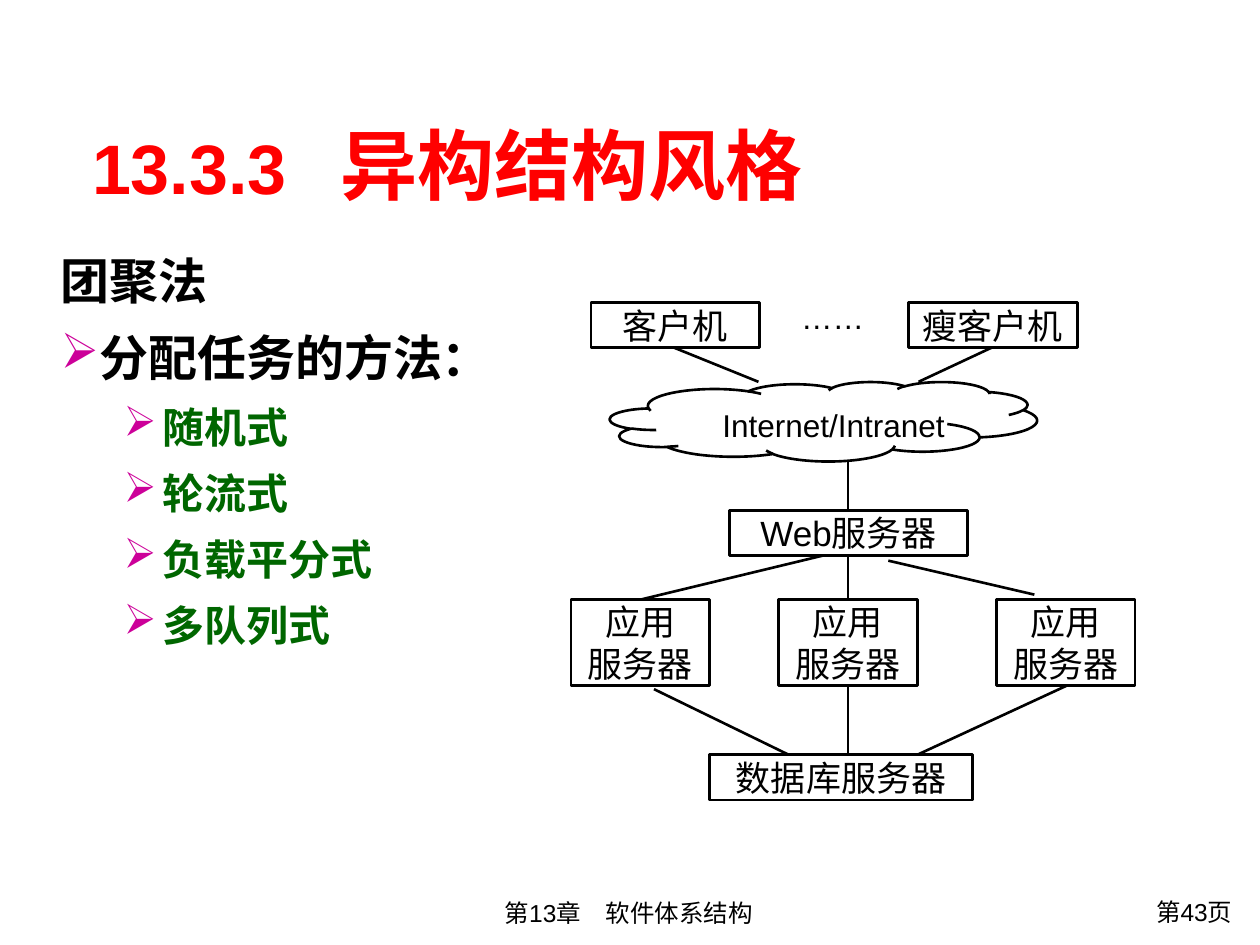
"""Build the slide on heterogeneous structure styles with its server cluster diagram."""
from lxml.etree import SubElement
from pptx import Presentation
from pptx.dml.color import RGBColor
from pptx.enum.shapes import MSO_CONNECTOR, MSO_SHAPE
from pptx.enum.text import MSO_ANCHOR, MSO_AUTO_SIZE, PP_ALIGN
from pptx.oxml.ns import qn
from pptx.util import Pt

BLACK = RGBColor(0, 0, 0)
WHITE = RGBColor(255, 255, 255)
RED = RGBColor(255, 0, 0)
GREEN = RGBColor(0, 0x66, 0)
BULLET_COLOR = "CC0099"
LATIN, CHINESE = "Arial", "Noto Sans CJK JP"
INSETS = (7.2, 3.6, 7.2, 3.6)
NO_INSETS = (0, 0, 0, 0)

TITLE = [("13.3.3\t", 40), ("异构结构风格", 44)]
TITLE_BOX = (45.4, 67.7, 607, 51.8)
TITLE_TAB = 142

HEADING = {"size": 28, "color": BLACK, "before": 7}
METHOD = {"size": 24, "color": GREEN, "before": 6, "bullet": True, "left": 58.3, "indent": -22.3}
BODY = [
    ("团聚法", HEADING | {"before": 0}),
    ("分配任务的方法：", HEADING | {"bullet": True}),
    ("随机式", METHOD),
    ("轮流式", METHOD),
    ("负载平分式", METHOD),
    ("多队列式", METHOD),
]
BODY_BOX = (34.6, 139.7, 251.3, 231.8)

BOX_HEIGHT = 25.9
NODES = [
    (["客户机"], (337.7, 172.8, 96.5, BOX_HEIGHT)),
    (["瘦客户机"], (519.1, 172.8, 96.5, BOX_HEIGHT)),
    (["Web服务器"], (416.9, 291.6, 136.1, BOX_HEIGHT)),
    *[(["应用", "服务器"], (left, 342.7, 79.2, 49)) for left in (326.2, 445, 569.5)],
    (["数据库服务器"], (405.4, 431.3, 150.5, BOX_HEIGHT)),
]
CLOUD_TEXT = "Internet/Intranet"
CLOUD_BOX = (348.5, 218.2, 244.1, 45.4)
CLOUD_INSETS = (29, 5.5, 0, 0)
TRUNK = 484.6
LINKS = [
    (385.2, 198.7, 433.4, 218.2),
    (524.9, 218.2, 566.6, 198.7),
    (TRUNK, 263.5, TRUNK, 291.6),
    (365.8, 342.7, 470.2, 317.5),
    (TRUNK, 317.5, TRUNK, 342.7),
    (507.6, 320.4, 591.1, 339.8),
    (373.7, 393.8, 450.7, 431.3),
    (TRUNK, 391.7, TRUNK, 431.3),
    (524.2, 431.3, 609.8, 391.7),
]
LABELS = [
    ("……", (450.7, 167, 56.9, 28.8), 18, PP_ALIGN.LEFT),
    ("第13章　软件体系结构", (169.2, 509.8, 380.2, 24.5), 14, PP_ALIGN.CENTER),
    ("第43页", (614.9, 509, 96.5, 26.6), 14, PP_ALIGN.RIGHT),
]


def points(values):
    return [Pt(value) for value in values]


def set_values(target, values):
    for name, value in values.items():
        setattr(target, name, value)


def set_frame(shape, insets, anchor=MSO_ANCHOR.TOP):
    left, top, right, bottom = points(insets)
    set_values(shape.text_frame, {
        "margin_left": left, "margin_top": top, "margin_right": right, "margin_bottom": bottom,
        "word_wrap": True, "auto_size": MSO_AUTO_SIZE.NONE, "vertical_anchor": anchor,
    })


def add_run(paragraph, text, size, color=BLACK, bold=False, latin=LATIN):
    run = paragraph.add_run()
    run.text = text
    set_values(run.font, {"size": Pt(size), "bold": bold, "name": latin})
    run.font.color.rgb = color
    SubElement(run.font._element, qn("a:ea"), typeface=CHINESE)


def add_lines(shape, lines, size, alignment):
    frame = shape.text_frame
    for index, text in enumerate(lines):
        paragraph = frame.add_paragraph() if index else frame.paragraphs[0]
        paragraph.alignment = alignment
        add_run(paragraph, text, size)


def add_title(slide):
    title = slide.shapes.title
    set_values(title, dict(zip(("left", "top", "width", "height"), points(TITLE_BOX))))
    set_frame(title, INSETS, MSO_ANCHOR.MIDDLE)
    paragraph = title.text_frame.paragraphs[0]
    paragraph.alignment = PP_ALIGN.LEFT
    tabs = SubElement(paragraph._p.get_or_add_pPr(), qn("a:tabLst"))
    SubElement(tabs, qn("a:tab"), pos=str(Pt(TITLE_TAB)), algn="l")
    for text, size in TITLE:
        add_run(paragraph, text, size, RED, True)


def add_body(slide):
    body = slide.shapes.add_textbox(*points(BODY_BOX))
    set_frame(body, NO_INSETS)
    for index, (text, style) in enumerate(BODY):
        frame = body.text_frame
        paragraph = frame.add_paragraph() if index else frame.paragraphs[0]
        set_values(paragraph, {"line_spacing": 1.1, "space_before": Pt(style["before"])})
        properties = paragraph._p.get_or_add_pPr()
        properties.set("marL", str(Pt(style.get("left", 0))))
        properties.set("indent", str(Pt(style.get("indent", 0))))
        if style.get("bullet"):
            color = SubElement(properties, qn("a:buClr"))
            SubElement(color, qn("a:srgbClr"), val=BULLET_COLOR)
            SubElement(properties, qn("a:buChar"), char="➢")
        add_run(paragraph, text, style["size"], style["color"], True, CHINESE)


def add_node(slide, kind, box, lines, size, insets):
    node = slide.shapes.add_shape(kind, *points(box))
    node.shadow.inherit = False
    node.fill.solid()
    node.fill.fore_color.rgb = WHITE
    node.line.color.rgb = BLACK
    node.line.width = Pt(1.5)
    set_frame(node, insets, MSO_ANCHOR.MIDDLE)
    add_lines(node, lines, size, PP_ALIGN.CENTER)


def add_link(slide, ends):
    link = slide.shapes.add_connector(MSO_CONNECTOR.STRAIGHT, *points(ends))
    link.line.color.rgb = BLACK
    link.line.width = Pt(1.5)
    SubElement(link._element.spPr, qn("a:effectLst"))


def add_label(slide, text, box, size, alignment):
    label = slide.shapes.add_textbox(*points(box))
    set_frame(label, INSETS)
    add_lines(label, [text], size, alignment)


def main():
    presentation = Presentation()
    presentation.slide_width, presentation.slide_height = Pt(720), Pt(540)
    slide = presentation.slides.add_slide(presentation.slide_layouts[5])
    add_title(slide)
    add_body(slide)
    add_node(slide, MSO_SHAPE.CLOUD, CLOUD_BOX, [CLOUD_TEXT], 18, CLOUD_INSETS)
    for lines, box in NODES:
        add_node(slide, MSO_SHAPE.RECTANGLE, box, lines, 20, NO_INSETS)
    for ends in LINKS:
        add_link(slide, ends)
    for label in LABELS:
        add_label(slide, *label)
    presentation.save("out.pptx")


if __name__ == "__main__":
    main()
